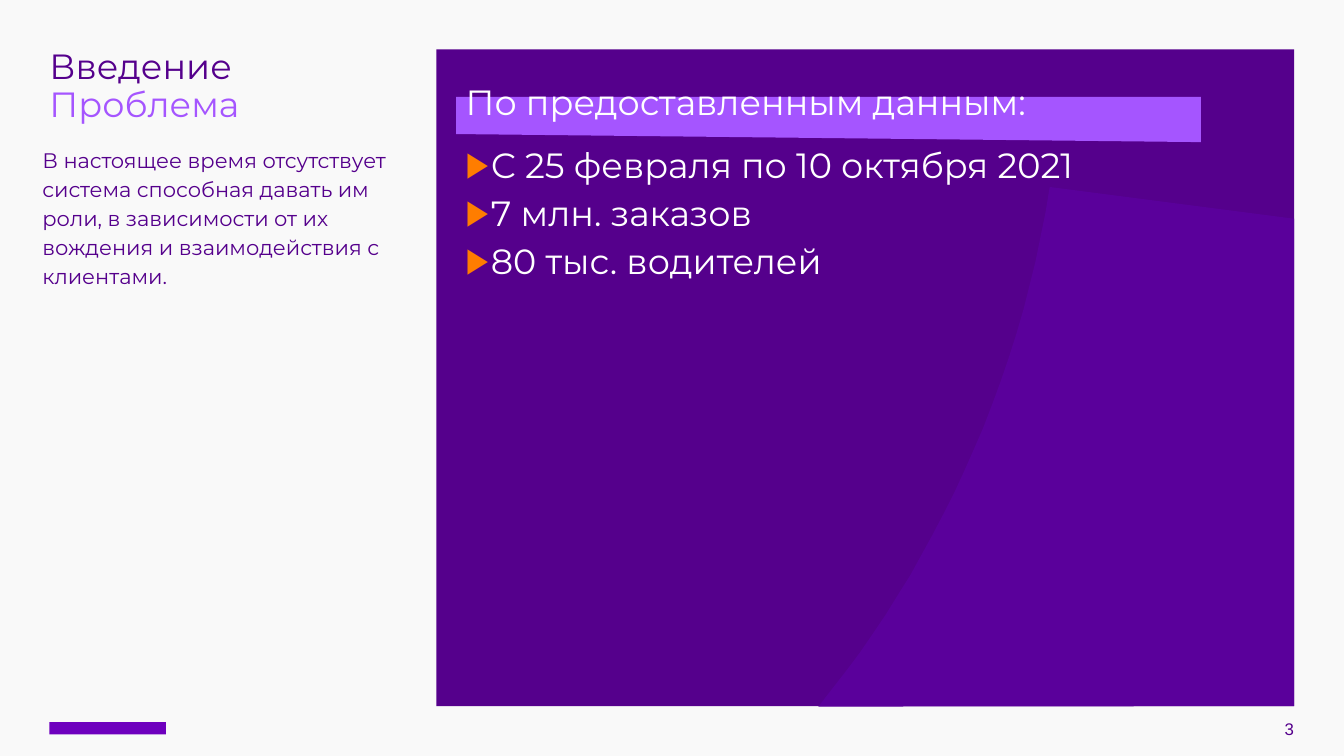
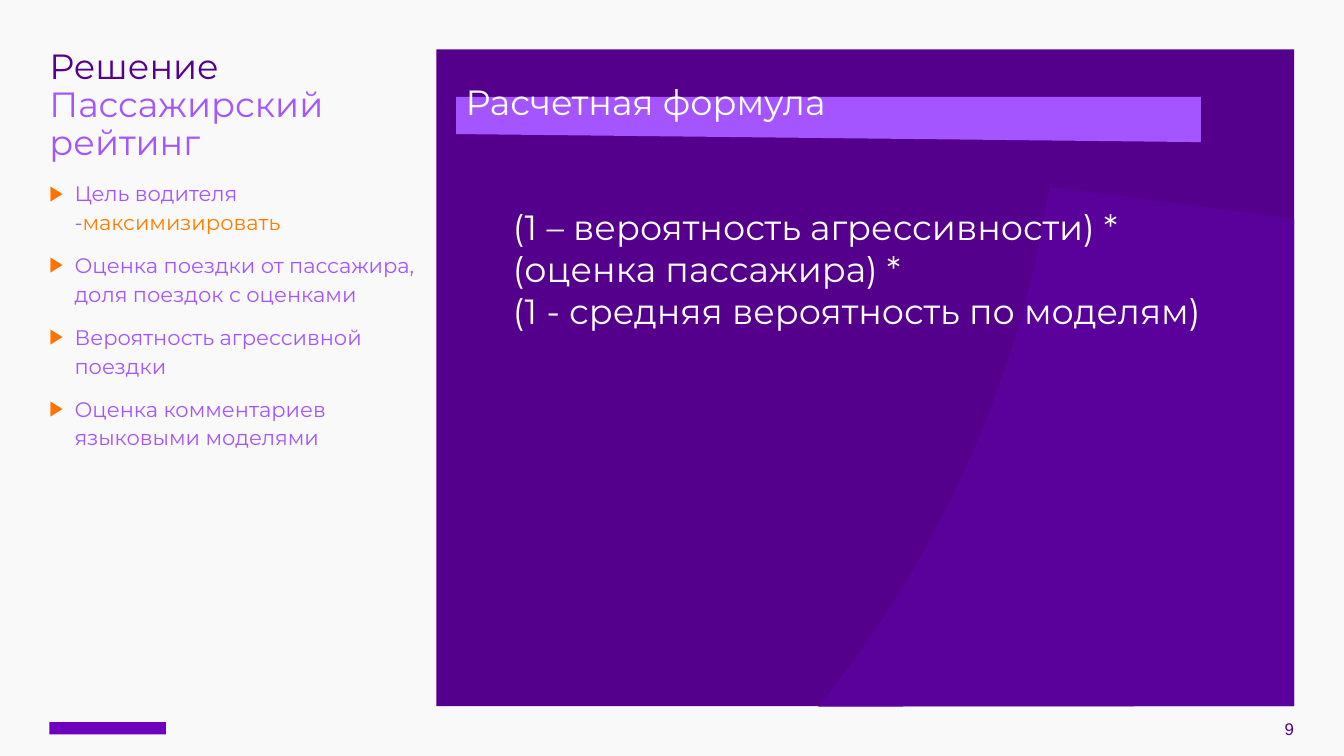
import dataclasses

import lxml.etree
import pptx
import pptx.dml.color
import pptx.enum.shapes
import pptx.enum.text
import pptx.oxml.ns
import pptx.util

RGB = pptx.dml.color.RGBColor
Align = pptx.enum.text.PP_ALIGN
Anchor = pptx.enum.text.MSO_ANCHOR
AutoSize = pptx.enum.text.MSO_AUTO_SIZE

PAPER = RGB(0xF9, 0xF9, 0xF9)
PURPLE = RGB(0x55, 0x00, 0x8C)
PANEL_ARC = RGB(0x5A, 0x00, 0x9B)
LOGO_PURPLE = RGB(0x6E, 0x00, 0xBE)
LILAC = RGB(0xA5, 0x55, 0xFF)
ORANGE = RGB(0xFF, 0x7D, 0x00)
DEEP_ORANGE = RGB(0xFF, 0x72, 0x00)
WHITE = RGB(0xFF, 0xFF, 0xFF)

EMU_PER_PX = 9144
SLIDE_SIZE = (2667, 1500)
TITLE_BOX = (98, 98, 735, 188)
PANEL_BOX = (866, 98, 1702, 1303)
PANEL_TEXT_BOX = (924, 148, 1410, 697)
LOGO_BOX = (98, 1433, 231, 24)
NUMBER_BOX = (1968, 1386, 600, 80)
HEADING_BAND = [(2383, 282), (905, 266), (905, 192), (2383, 192)]
ARC_CURVES = [
    [(1624, 1402), (1739, 1261), (1835, 1106), (1911, 940)],
    [(1911, 940), (1995, 759), (2052, 568), (2083, 371)],
]

DISPLAY_SIZE = 50
LIST_SIZE = 30
NUMBER_SIZE = 24
TEXT_FONT = "Montserrat"
NUMBER_FONT = "Arial"


@dataclasses.dataclass
class Line:
    runs: list
    size: int = DISPLAY_SIZE
    spacing: float = 1.15
    before: int = 0
    bullet: RGB = None
    margin: int = 0
    indent: int = 0
    align: Align = Align.LEFT
    font: str = TEXT_FONT


def px(length):
    return pptx.util.Emu(length * EMU_PER_PX)


def place(shape, box):
    shape.left, shape.top, shape.width, shape.height = map(px, box)


def paint(shape, color):
    shape.shadow.inherit = False
    shape.fill.solid()
    shape.fill.fore_color.rgb = color
    shape.line.fill.background()


def add_rectangle(slide, box, color):
    kind = pptx.enum.shapes.MSO_SHAPE.RECTANGLE
    paint(slide.shapes.add_shape(kind, *map(px, box)), color)


def add_outline(slide, points, color):
    builder = slide.shapes.build_freeform(*points[0], scale=EMU_PER_PX)
    builder.add_line_segments(points[1:], close=True)
    paint(builder.convert_to_shape(), color)


def curve_points(curve, steps=12):
    points = []
    for step in range(steps + 1):
        t = step / steps
        weights = ((1 - t) ** 3, 3 * t * (1 - t) ** 2, 3 * t**2 * (1 - t), t**3)
        points.append(tuple(
            round(sum(weight * point[axis] for weight, point in zip(weights, curve)))
            for axis in (0, 1)
        ))
    return points


def set_bullet(paragraph, line):
    qn = pptx.oxml.ns.qn
    properties = paragraph._p.get_or_add_pPr()
    properties.set("marL", str(px(line.margin)))
    properties.set("indent", str(px(line.indent)))
    if line.bullet is None:
        lxml.etree.SubElement(properties, qn("a:buNone"))
        return
    color = lxml.etree.SubElement(properties, qn("a:buClr"))
    lxml.etree.SubElement(color, qn("a:srgbClr"), val=str(line.bullet))
    lxml.etree.SubElement(properties, qn("a:buChar"), char="▶")


def write_lines(frame, lines, inset=0, anchor=Anchor.TOP, auto_size=AutoSize.NONE):
    frame.word_wrap = True
    frame.auto_size = auto_size
    frame.vertical_anchor = anchor
    if inset is not None:
        frame.margin_left = frame.margin_right = inset
        frame.margin_top = frame.margin_bottom = inset
    for position, line in enumerate(lines):
        paragraph = frame.add_paragraph() if position else frame.paragraphs[0]
        set_bullet(paragraph, line)
        paragraph.alignment = line.align
        paragraph.line_spacing = line.spacing
        paragraph.space_before = pptx.util.Pt(line.before if position else 0)
        for text, color in line.runs:
            run = paragraph.add_run()
            run.text = text
            run.font.name = line.font
            run.font.size = pptx.util.Pt(line.size)
            run.font.color.rgb = color


def fill_placeholder(placeholder, box, lines):
    tree = placeholder.element.getparent()
    tree.append(placeholder.element)
    place(placeholder, box)
    write_lines(placeholder.text_frame, lines)


def add_text(slide, box, lines, **frame_options):
    textbox = slide.shapes.add_textbox(*map(px, box))
    write_lines(textbox.text_frame, lines, **frame_options)


def add_panel(slide):
    left, top, width, height = PANEL_BOX
    right, bottom = left + width, top + height
    arc = [point for curve in ARC_CURVES for point in curve_points(curve)]
    add_rectangle(slide, PANEL_BOX, PURPLE)
    add_outline(slide, [(right, 434), (right, bottom)] + arc, PANEL_ARC)


def add_content_slide(deck, number, topic, subtopic, side_box, side_lines, panel_lines):
    slide = deck.slides.add_slide(deck.slide_layouts[3])
    title, side, panel = slide.placeholders
    add_rectangle(slide, LOGO_BOX, LOGO_PURPLE)
    number_line = Line([(number, PURPLE)], NUMBER_SIZE, 1.0,
                       align=Align.RIGHT, font=NUMBER_FONT)
    add_text(slide, NUMBER_BOX, [number_line], anchor=Anchor.BOTTOM)
    add_panel(slide)
    fill_placeholder(side, side_box, side_lines)
    fill_placeholder(title, TITLE_BOX, [
        Line([(topic, PURPLE)], spacing=0.9),
        Line([(subtopic, LILAC)], spacing=0.9),
    ])
    add_outline(slide, HEADING_BAND, LILAC)
    fill_placeholder(panel, PANEL_TEXT_BOX, panel_lines)
    return slide


def panel_item(text, before=0):
    return Line([(text, WHITE)], before=before, bullet=ORANGE, margin=50, indent=-58)


def side_item(*runs):
    return Line(list(runs), LIST_SIZE, before=20, bullet=DEEP_ORANGE,
                margin=50, indent=-50)


def add_problem_slide(deck):
    problem = (
        "В настоящее время отсутствует система способная давать им роли, "
        "в зависимости от их вождения и взаимодействия с клиентами."
    )
    add_content_slide(
        deck, "3", "Введение", "Проблема",
        (84, 286, 735, 913),
        [Line([(problem, PURPLE)], LIST_SIZE)],
        [
            Line([("По предоставленным данным:", WHITE)]),
            panel_item("С 25 февраля по 10 октября 2021", before=20),
            panel_item("7 млн. заказов"),
            panel_item("80 тыс. водителей"),
        ],
    )


def add_rating_slide(deck):
    slide = add_content_slide(
        deck, "9", "Решение", "Пассажирский рейтинг",
        (98, 350, 735, 913),
        [
            side_item(("Цель водителя -", LILAC), ("максимизировать", ORANGE)),
            side_item(("Оценка поездки от пассажира, доля поездок с оценками", LILAC)),
            side_item(("Вероятность агрессивной поездки", LILAC)),
            side_item(("Оценка комментариев языковыми моделями", LILAC)),
        ],
        [Line([("Расчетная формула", WHITE)])],
    )
    formula = [
        "(1 – вероятность агрессивности) * (оценка пассажира) *",
        "(1 - средняя вероятность по моделям)",
    ]
    add_text(
        slide, (1008, 402, 1427, 263),
        [Line([(factor, WHITE)], spacing=1.0) for factor in formula],
        inset=None, auto_size=AutoSize.SHAPE_TO_FIT_TEXT,
    )


def main():
    deck = pptx.Presentation()
    deck.slide_width, deck.slide_height = map(px, SLIDE_SIZE)
    background = deck.slide_master.background.fill
    background.solid()
    background.fore_color.rgb = PAPER
    add_problem_slide(deck)
    add_rating_slide(deck)
    deck.save("out.pptx")


if __name__ == "__main__":
    main()
